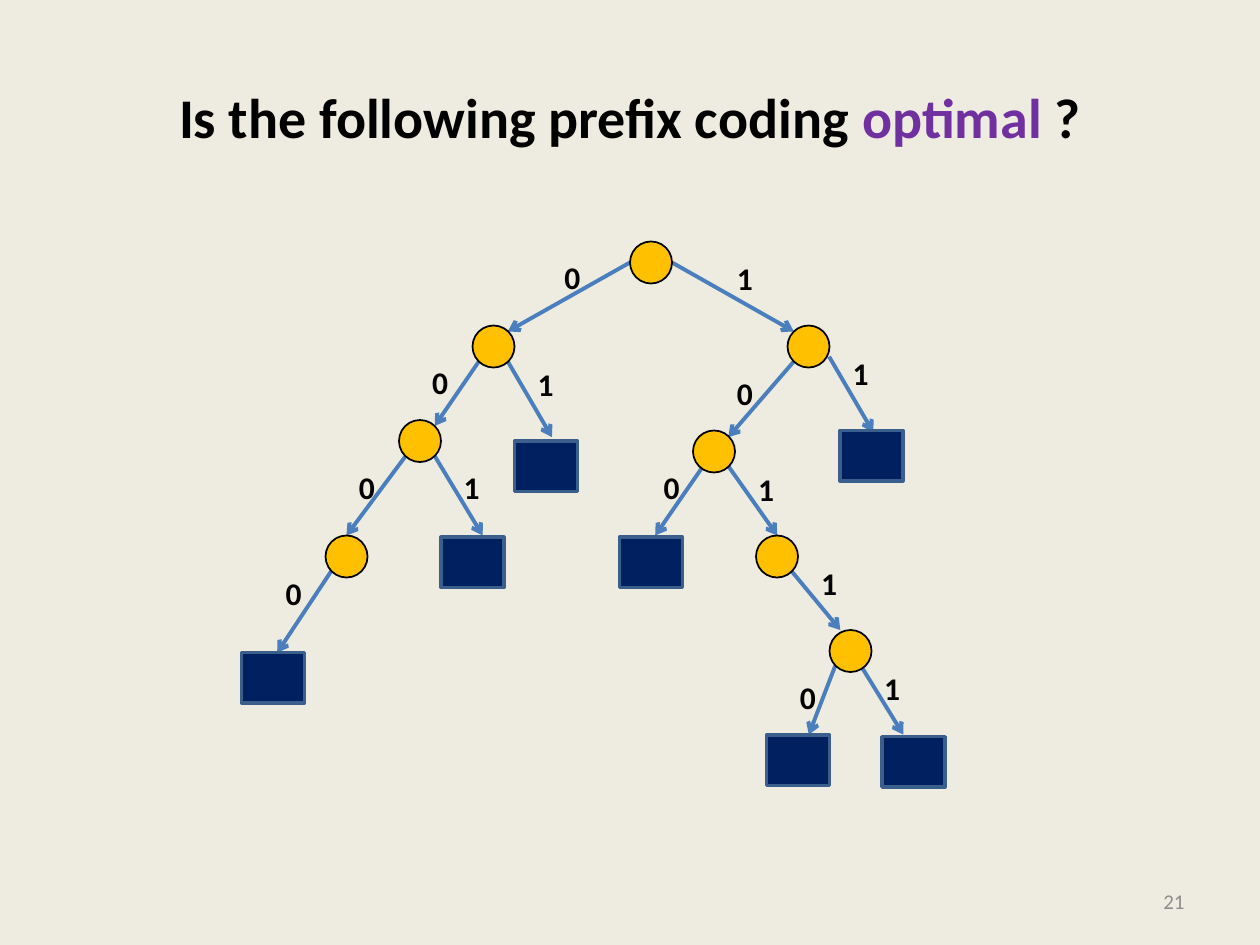
from lxml import etree
from pptx import Presentation
from pptx import util as u
from pptx.dml import color
from pptx.enum import shapes, text
from pptx.oxml import ns

FONT = "Calibri"
NODE_SIZE = 24
LEAF_WIDTH, LEAF_HEIGHT = 36, 28.8
LABEL_WIDTH, LABEL_HEIGHT = 24, 28.8

NODES = [(222, 0), (132, 48), (312, 48), (90, 102), (258, 108),
         (48, 168), (294, 168), (336, 222)]
LEAVES = [(366, 283), (300, 282), (0, 235), (114, 169), (156, 114),
          (216, 169), (342, 108)]
BRANCHES = [
    ("0", (222, 12), (152.2, 51.4), (177.4, 6)),
    ("1", (246, 12), (315.6, 51.4), (276, 6.7)),
    ("0", (135.6, 68.6), (110.4, 105.4), (101.8, 65.8)),
    ("1", (152.2, 68.6), (177.4, 111.8), (162.2, 67.2)),
    ("0", (315.6, 68.6), (278.2, 111.8), (276, 72.2)),
    ("1", (335.8, 65.8), (361, 109), (342.2, 60.7)),
    ("0", (93.8, 122.6), (60, 168), (60, 126.2)),
    ("1", (110.4, 122.6), (137.8, 168), (119.8, 126.2)),
    ("0", (263.8, 128.4), (236.4, 168), (234.2, 126.2)),
    ("1", (278.2, 128.4), (306.2, 168), (288.2, 127)),
    ("0", (51.4, 188.2), (20.4, 235), (18.2, 186.7)),
    ("1", (314.2, 188.2), (342.2, 222), (324.2, 181)),
    ("0", (339.4, 242.2), (324.2, 281.8), (312, 245.8)),
    ("1", (353.8, 242.2), (378.2, 281.8), (360.2, 240.7)),
]


def rgb(value):
    return color.RGBColor.from_string(value)


def points(*values):
    return [u.Pt(value) for value in values]


def add_text(slide, box, runs, size, bold=False, align=text.PP_ALIGN.LEFT,
             anchor=text.MSO_ANCHOR.MIDDLE, wrap=True):
    frame = slide.shapes.add_textbox(*points(*box)).text_frame
    frame.word_wrap = wrap
    frame.vertical_anchor = anchor
    paragraph = frame.paragraphs[0]
    paragraph.alignment = align
    for wording, ink in runs:
        run = paragraph.add_run()
        run.text = wording
        run.font.name = FONT
        run.font.size = u.Pt(size)
        run.font.bold = bold
        run.font.color.rgb = rgb(ink)


def add_block(slide, kind, box, fill, line, width):
    shape = slide.shapes.add_shape(kind, *points(*box))
    shape.shadow.inherit = False
    shape.fill.solid()
    shape.fill.fore_color.rgb = rgb(fill)
    shape.line.color.rgb = rgb(line)
    shape.line.width = u.Pt(width)


def add_arrow(slide, start, end):
    connector = slide.shapes.add_connector(
        shapes.MSO_CONNECTOR.STRAIGHT, *points(*start, *end))
    connector.line.color.rgb = rgb("4B7EBC")
    connector.line.width = u.Pt(2.25)
    properties = connector._element.spPr
    etree.SubElement(properties.find(ns.qn("a:ln")), ns.qn("a:tailEnd"), type="arrow")
    etree.SubElement(properties, ns.qn("a:effectLst"))


def add_title(slide, box):
    runs = [("Is the following prefix coding ", "000000"),
            ("optimal", "7030A0"), (" ?", "000000")]
    add_text(slide, box, runs, 32, bold=True, align=text.PP_ALIGN.CENTER)


def add_page_number(slide, box):
    add_text(slide, box, [("21", "8C8C8C")], 12, align=text.PP_ALIGN.RIGHT)


def add_tree(slide, left, top):
    def place(position):
        return left + position[0], top + position[1]

    for bit, start, end, label in BRANCHES:
        add_arrow(slide, place(start), place(end))
        add_text(slide, (*place(label), LABEL_WIDTH, LABEL_HEIGHT),
                 [(bit, "000000")], 18, bold=True,
                 anchor=text.MSO_ANCHOR.TOP, wrap=False)
    for node in NODES:
        add_block(slide, shapes.MSO_SHAPE.OVAL,
                  (*place(node), NODE_SIZE, NODE_SIZE), "FFC000", "000000", 1)
    for leaf in LEAVES:
        add_block(slide, shapes.MSO_SHAPE.RECTANGLE,
                  (*place(leaf), LEAF_WIDTH, LEAF_HEIGHT), "002060", "3A5F8C", 2)


def main():
    presentation = Presentation()
    presentation.slide_width, presentation.slide_height = points(720, 540)
    slide = presentation.slides.add_slide(presentation.slide_layouts[6])
    slide.background.fill.solid()
    slide.background.fill.fore_color.rgb = rgb("EEECE1")
    add_title(slide, (36, 21.6, 648, 90))
    add_tree(slide, 138, 138)
    add_page_number(slide, (516, 500.5, 168, 28.8))
    presentation.save("out.pptx")


if __name__ == "__main__":
    main()
